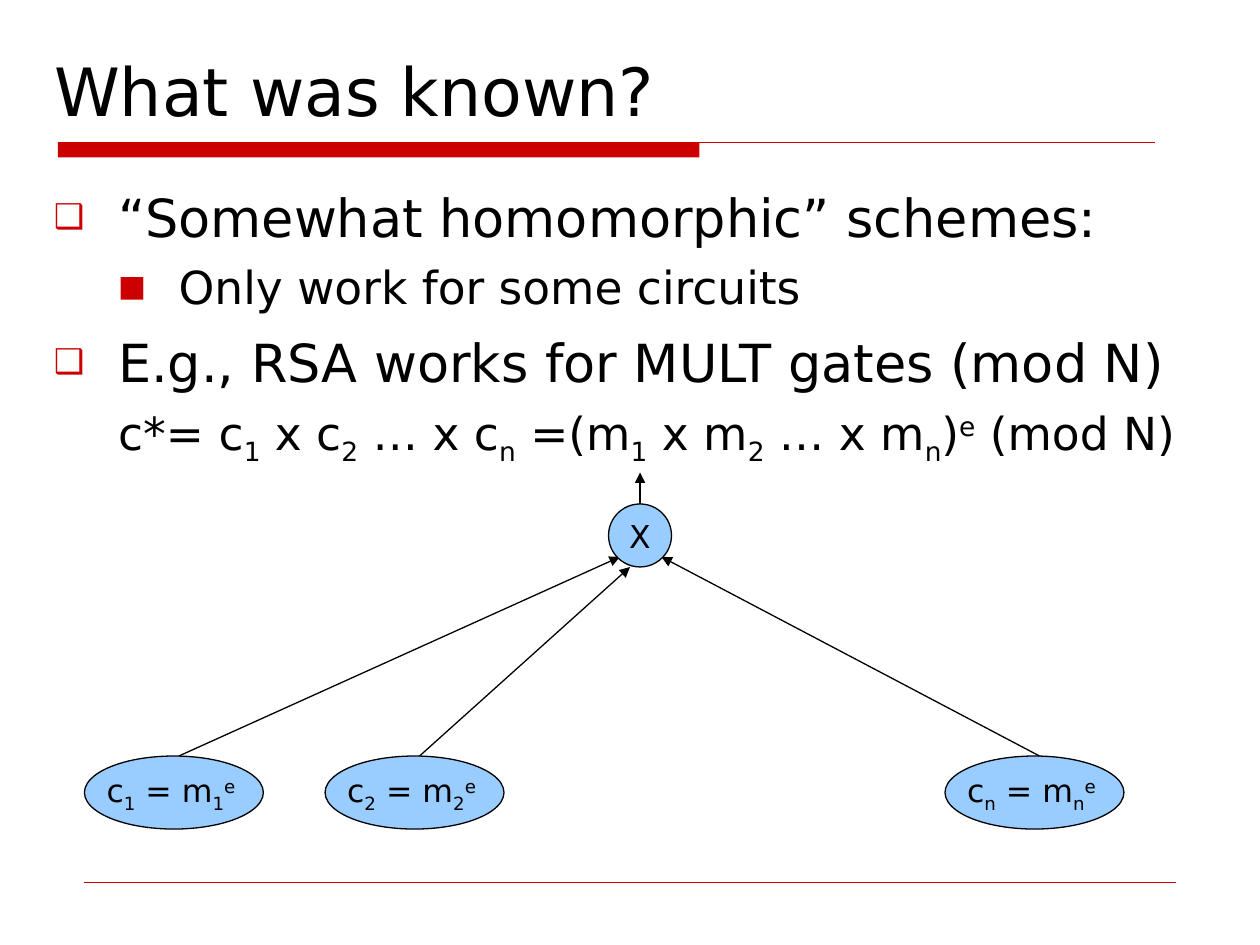
from lxml.etree import SubElement
from pptx import Presentation
from pptx.dml.color import RGBColor
from pptx.enum.shapes import MSO_CONNECTOR, MSO_SHAPE
from pptx.enum.text import MSO_ANCHOR as ANCHOR, PP_ALIGN as ALIGN
from pptx.oxml.ns import qn
from pptx.util import Inches, Pt

RED = RGBColor(0xCC, 0x00, 0x00)
BLUE = RGBColor(0x99, 0xCC, 0xFF)
BLACK = RGBColor(0x00, 0x00, 0x00)
FONT = "DejaVu Sans"
SUB, SUPER = "-25000", "30000"


def style(paragraph, size):
    """Set the shared font on a paragraph."""
    font = paragraph.font
    font.name, font.size, font.color.rgb = FONT, Pt(size), BLACK


def add_runs(paragraph, pieces):
    """Add plain strings and (text, baseline) pairs as runs."""
    for piece in pieces:
        text, baseline = (piece, None) if isinstance(piece, str) else piece
        run = paragraph.add_run()
        run.text = text
        if baseline:
            run.font._element.set("baseline", baseline)


def add_line(slide, start, end, color=BLACK, width=0.75, arrow=False):
    """Draw a straight line between two points in inches."""
    ends = [Inches(value) for value in (*start, *end)]
    line = slide.shapes.add_connector(MSO_CONNECTOR.STRAIGHT, *ends)
    line.line.color.rgb = color
    line.line.width = Pt(width)
    if arrow:
        SubElement(line.line._get_or_add_ln(), qn("a:tailEnd"), type="triangle")
    SubElement(line._element.spPr, qn("a:effectLst"))


def set_bullet(paragraph, char, margin, hanging):
    """Give a paragraph its hanging indent and red bullet, if any."""
    props = paragraph._p.get_or_add_pPr()
    props.set("marL", str(Inches(margin)))
    props.set("indent", str(-Inches(hanging)))
    if not char:
        SubElement(props, qn("a:buNone"))
        return
    color = SubElement(props, qn("a:buClr"))
    SubElement(color, qn("a:srgbClr"), val=str(RED))
    SubElement(props, qn("a:buSzPct"), val="65000")
    SubElement(props, qn("a:buFont"), typeface=FONT)
    SubElement(props, qn("a:buChar"), char=char)


def add_title(slide, left, top, width, height):
    """Place the title with the red rule under it."""
    title = slide.shapes.title
    title.left, title.top = Inches(left), Inches(top)
    title.width, title.height = Inches(width), Inches(height)
    title.text_frame.vertical_anchor = ANCHOR.BOTTOM
    paragraph = title.text_frame.paragraphs[0]
    paragraph.text = "What was known?"
    paragraph.alignment = ALIGN.LEFT
    style(paragraph, 38)

    rule_left, rule_top = left + 0.13, top + height + 0.05
    bar = slide.shapes.add_shape(
        MSO_SHAPE.RECTANGLE, Inches(rule_left), Inches(rule_top), Inches(5.09), Inches(0.12))
    bar.shadow.inherit = False
    bar.fill.solid()
    bar.fill.fore_color.rgb = RED
    bar.line.fill.background()
    add_line(slide, (rule_left, rule_top), (rule_left + 8.71, rule_top), RED)


def add_body(slide, left, top, width, height):
    """Place the two-level list with the RSA formula."""
    formula = ["c*= c", ("1", SUB), " x c", ("2", SUB), " … x c", ("n", SUB),
               " =(m", ("1", SUB), " x m", ("2", SUB), " … x m", ("n", SUB),
               ")", ("e", SUPER), " (mod N)"]
    items = [
        (0, "❑", ["“Somewhat homomorphic” schemes:"]),
        (1, "■", ["Only work for some circuits"]),
        (0, "❑", ["E.g., RSA works for MULT gates (mod N)"]),
        (1, None, formula),
    ]
    levels = [(30, 9.4, 0.51, 0.51), (26, 6.5, 0.99, 0.48)]
    box = slide.shapes.add_textbox(Inches(left), Inches(top), Inches(width), Inches(height))
    frame = box.text_frame
    frame.word_wrap = True
    for index, (level, char, pieces) in enumerate(items):
        size, before, margin, hanging = levels[level]
        paragraph = frame.add_paragraph() if index else frame.paragraphs[0]
        paragraph.level = level
        paragraph.space_before = Pt(before)
        set_bullet(paragraph, char, margin, hanging)
        style(paragraph, size)
        add_runs(paragraph, pieces)


def add_node(slide, left, top, width, height, pieces):
    """Draw one labelled ellipse of the circuit."""
    node = slide.shapes.add_shape(
        MSO_SHAPE.OVAL, Inches(left), Inches(top), Inches(width), Inches(height))
    node.shadow.inherit = False
    node.fill.solid()
    node.fill.fore_color.rgb = BLUE
    node.line.color.rgb = BLACK
    node.line.width = Pt(0.75)
    frame = node.text_frame
    frame.word_wrap = False
    frame.vertical_anchor = ANCHOR.MIDDLE
    paragraph = frame.paragraphs[0]
    paragraph.alignment = ALIGN.CENTER
    style(paragraph, 18)
    add_runs(paragraph, pieces)


def add_circuit(slide, left, top, width, height):
    """Draw the ciphertext inputs feeding the multiplication gate."""
    input_width, input_height, gate_size = 1.42, 0.58, 0.5
    input_top = top + height - input_height
    gate_left, gate_top = left + 4.16, top + 0.25
    gate_middle = gate_left + gate_size / 2
    inputs = [
        ("1", left, 0.75, (gate_left + 0.09, gate_top + 0.42)),
        ("2", left + 1.91, 0.75, (gate_left + 0.17, gate_top + gate_size)),
        ("n", left + width - input_width, 0.75, (gate_left + 0.42, gate_top + 0.42)),
    ]
    for index, input_left, offset, tip in inputs:
        label = ["c", (index, SUB), " = m", (index, SUB), ("e ", SUPER)]
        add_node(slide, input_left, input_top, input_width, input_height, label)
        add_line(slide, (input_left + offset, input_top), tip, arrow=True)
    add_node(slide, gate_left, gate_top, gate_size, gate_size, ["X"])
    add_line(slide, (gate_middle, gate_top), (gate_middle, top), arrow=True)


def main():
    """Build and save the slide."""
    deck = Presentation()
    deck.slide_width, deck.slide_height = Inches(10), Inches(7.5)
    slide = deck.slides.add_slide(deck.slide_layouts[5])
    add_title(slide, 0.33, 0.08, 9.33, 1)
    add_line(slide, (0.67, 7), (9.33, 7), RED, 0.25)
    add_body(slide, 0.33, 1.42, 9.33, 5.5)
    add_circuit(slide, 0.67, 3.75, 8.25, 2.83)
    deck.save("out.pptx")


if __name__ == "__main__":
    main()
